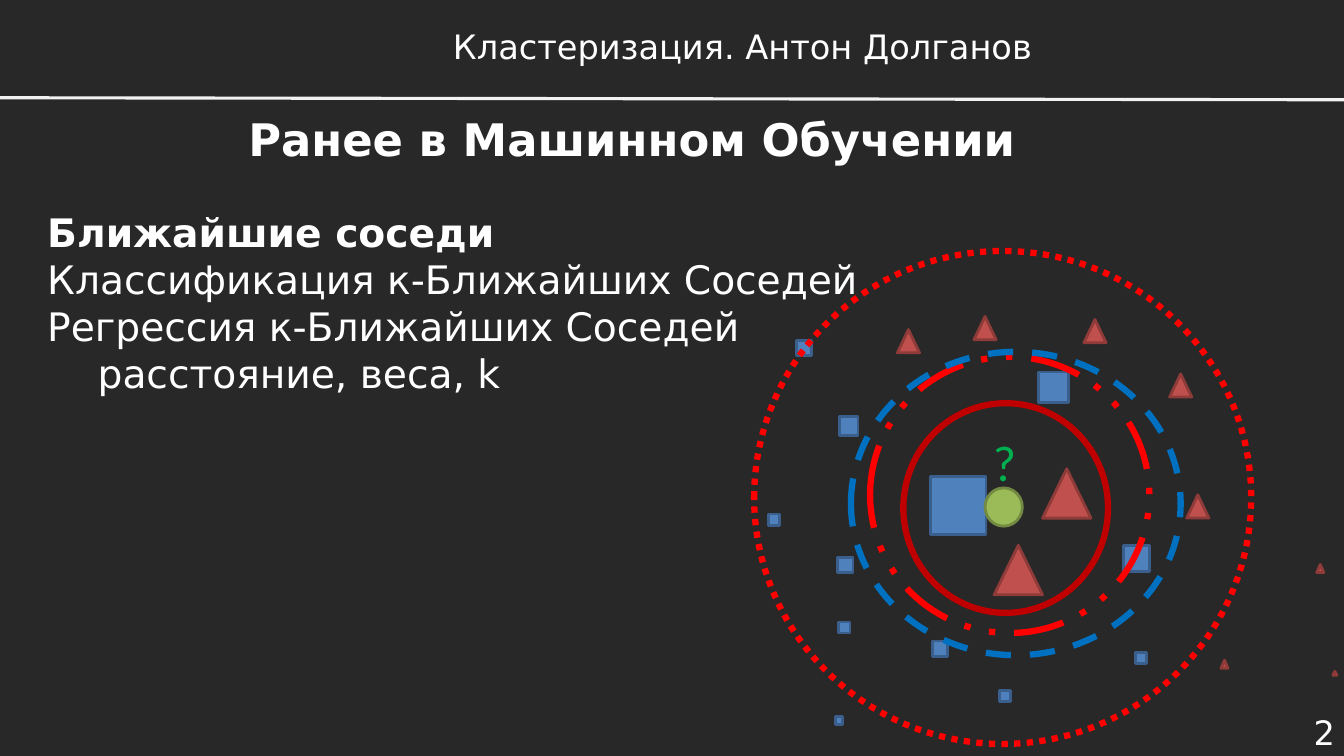
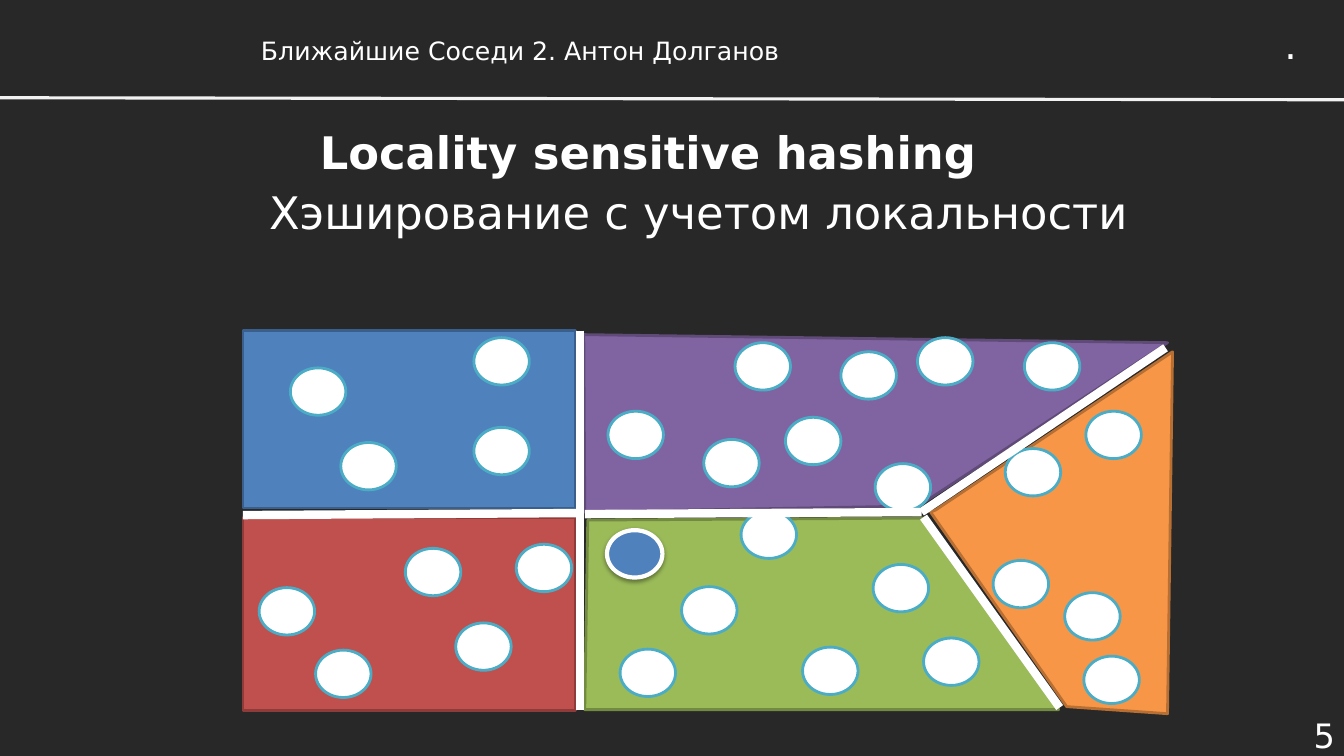
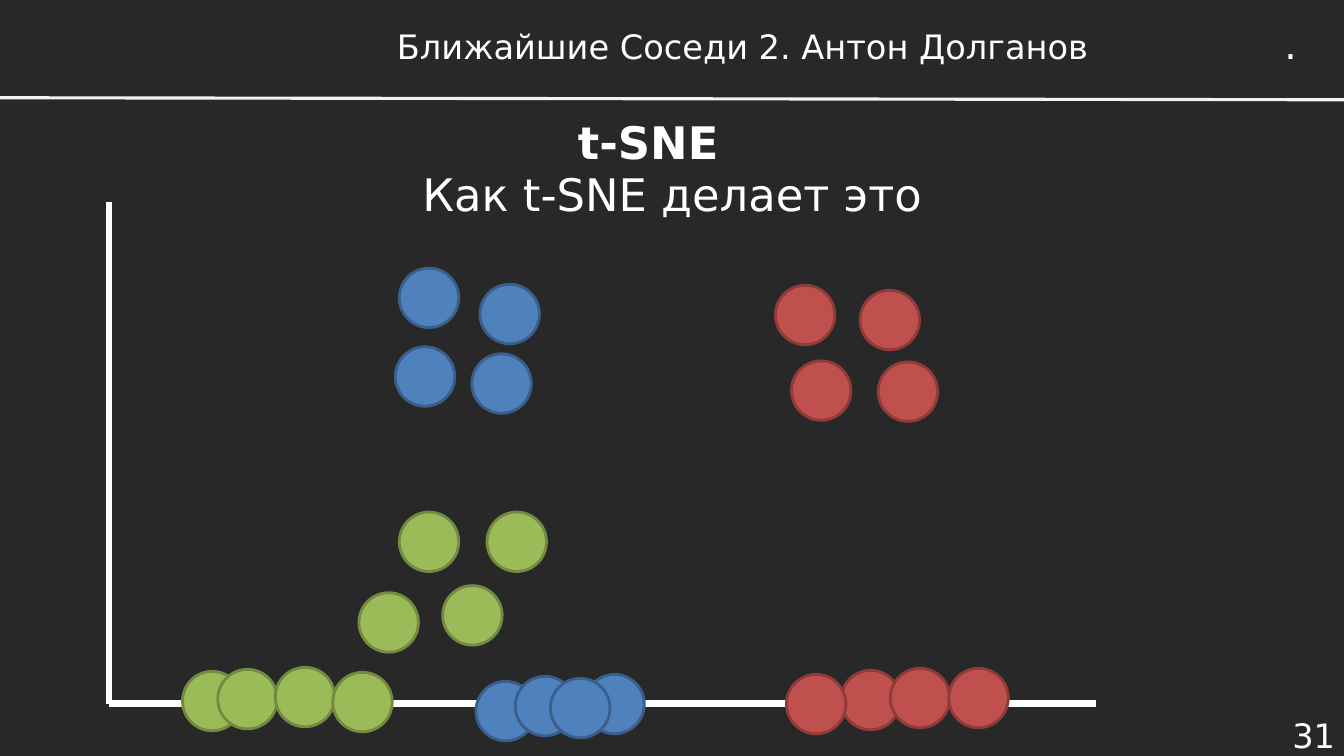
from dataclasses import dataclass
from lxml.etree import SubElement
from pptx import Presentation
from pptx.dml.color import RGBColor
from pptx.enum.dml import MSO_LINE
from pptx.enum.shapes import MSO_CONNECTOR, MSO_SHAPE
from pptx.enum.text import MSO_ANCHOR, MSO_AUTO_SIZE, PP_ALIGN
from pptx.oxml.ns import qn
from pptx.util import Pt

PX = 9144


@dataclass(frozen=True)
class Theme:
    font: str = "DejaVu Sans"
    back: str = "272827"
    white: str = "FFFFFF"
    rule: str = "F2F2F2"
    blue: tuple = ("4F81BD", "3A5F8C")
    red: tuple = ("C0504D", "8E3B39")
    green: tuple = ("9BBB59", "738A42")
    violet: tuple = ("8064A2", "5F4A78")
    orange: tuple = ("F79646", "B76F34")
    pale: tuple = ("FFFFFF", "4BACC6")
    mark: tuple = ("4F81BD", "FFFFFF")
    query: str = "00B050"
    small: int = 18
    head: int = 24
    body: int = 28
    title: int = 32
    sign: int = 36


T = Theme()
RECT, OVAL, PEAK = MSO_SHAPE.RECTANGLE, MSO_SHAPE.OVAL, MSO_SHAPE.ISOSCELES_TRIANGLE

BAR = (344, 19, 785, 53)
DOT = (1264, 15, 34, 57)
COURSE = "Ближайшие Соседи 2. Антон Долганов"

NEAR = [
    ("Ближайшие соседи", True),
    ("Классификация к-Ближайших Соседей", False),
    ("Регрессия к-Ближайших Соседей", False),
    ("\tрасстояние, веса, k", False),
]
SQUARES = [
    (923, 473, 55, 57), (1030, 369, 30, 30), (1114, 541, 26, 26),
    (790, 338, 15, 15), (832, 617, 11, 11), (991, 685, 11, 11),
    (1126, 647, 11, 11), (829, 711, 7, 8), (925, 636, 15, 15),
    (831, 553, 15, 15), (762, 510, 11, 11), (833, 413, 18, 19),
]
PEAKS = [
    (966, 314, 22, 23), (1034, 465, 48, 49), (890, 327, 22, 23),
    (1075, 317, 22, 23), (1177, 491, 22, 23), (1306, 560, 7, 8),
    (1211, 655, 7, 8), (986, 541, 48, 49), (1322, 666, 4, 4),
    (1160, 371, 22, 23),
]
RINGS = [
    ((896, 400, 203, 208), "C00000", MSO_LINE.SOLID),
    ((863, 354, 277, 274), "FF0000", MSO_LINE.DASH_DOT_DOT),
    ((844, 349, 327, 301), "0070C0", MSO_LINE.DASH),
    ((748, 249, 493, 489), "FF0000", MSO_LINE.ROUND_DOT),
]

ZONES = [
    (T.orange, [(923, 508), (928, 506), (1163, 349), (1158, 708), (1058, 701)]),
    (T.violet, [(579, 332), (580, 508), (911, 502), (1158, 340)]),
    (T.green, [(583, 516), (580, 704), (1050, 704), (917, 514)]),
]
ROOMS = [(T.red, (241, 513, 330, 192)), (T.blue, (241, 328, 330, 176))]
SPOT = (55, 47)
SPOTS = [
    (288, 365), (470, 335), (402, 544), (257, 583), (512, 540), (603, 408),
    (615, 644), (729, 340), (866, 560), (834, 349), (868, 460), (1016, 340),
    (1056, 588), (910, 335), (338, 439), (470, 424), (452, 618), (313, 645),
    (676, 582), (796, 642), (779, 414), (916, 633), (997, 445), (985, 556),
    (1077, 408), (1075, 651), (735, 507), (698, 436),
]
CHOSEN = (602, 526)
WALLS = [
    (241, 511, 575, 509), (575, 328, 575, 704), (580, 510, 914, 508),
    (914, 508, 1156, 345), (916, 513, 1051, 702),
]

BALL = (59, 59)
CLOUDS = [
    (T.blue, [(396, 266), (476, 282), (468, 351), (392, 344)]),
    (T.red, [(769, 283), (853, 288), (871, 359), (785, 358)]),
    (T.green, [(396, 508), (483, 508), (356, 588), (439, 581)]),
]
AXES = [(108, 200, 108, 698), (1087, 698, 108, 698)]
ROWS = [
    (T.green, [(181, 666), (216, 664), (273, 662), (330, 667)]),
    (T.red, [(834, 665), (780, 669), (883, 663), (941, 663)]),
    (T.blue, [(472, 676), (511, 671), (580, 669), (546, 673)]),
]


def hue(code):
    return RGBColor.from_string(code)


def scale(nums):
    return [n * PX for n in nums]


def write(page, box, lines, size, side=PP_ALIGN.LEFT, mid=False, wrap=True,
          tint=T.white, font=T.font):
    frame = page.shapes.add_textbox(*scale(box)).text_frame
    frame.word_wrap = wrap
    frame.auto_size = MSO_AUTO_SIZE.NONE if mid else MSO_AUTO_SIZE.SHAPE_TO_FIT_TEXT
    frame.vertical_anchor = MSO_ANCHOR.MIDDLE if mid else MSO_ANCHOR.TOP
    for i, (words, bold) in enumerate(lines):
        para = frame.add_paragraph() if i else frame.paragraphs[0]
        para.alignment = side
        run = para.add_run()
        run.text = words
        run.font.name, run.font.size, run.font.bold = font, Pt(size), bold
        run.font.color.rgb = hue(tint)


def center(page, box, words, size, bold=False):
    write(page, box, [(words, bold)], size, PP_ALIGN.CENTER, True)


def paint(shape, pair, width=2):
    shape.shadow.inherit = False
    fill, edge = pair
    if fill:
        shape.fill.solid()
        shape.fill.fore_color.rgb = hue(fill)
    else:
        shape.fill.background()
    shape.line.color.rgb = hue(edge)
    shape.line.width = Pt(width)
    return shape


def put(page, kind, box, pair, width=2):
    return paint(page.shapes.add_shape(kind, *scale(box)), pair, width)


def spread(page, size, pair, spots):
    for spot in spots:
        put(page, OVAL, spot + size, pair)


def draw(page, ends, tint, width):
    line = page.shapes.add_connector(MSO_CONNECTOR.STRAIGHT, *scale(ends))
    line.line.color.rgb = hue(tint)
    line.line.width = Pt(width)
    SubElement(line._element.spPr, qn("a:effectLst"))


def shade(shape):
    list_ = shape._element.spPr.find(qn("a:effectLst"))
    drop = SubElement(list_, qn("a:outerShdw"), blurRad="40000", dist="20000",
                      dir="5400000", rotWithShape="0")
    tone = SubElement(drop, qn("a:srgbClr"), val="000000")
    SubElement(tone, qn("a:alpha"), val="38000")


def start(deck, num, top=708):
    page = deck.slides.add_slide(deck.slide_layouts[6])
    draw(page, (0, 97, 1333, 99), T.rule, 2.25)
    write(page, (1229, top, 105, 42), [(num, False)], T.head, PP_ALIGN.RIGHT, True)
    return page


def dot(page):
    write(page, DOT, [(".", False)], T.body, wrap=False)


def near(deck):
    page = start(deck, "2", 705)
    center(page, BAR, "Кластеризация. Антон Долганов", T.head)
    center(page, (194, 92, 866, 91), "Ранее в Машинном Обучении", T.title, True)
    write(page, (37, 202, 1351, 246), NEAR, T.body)
    for kind, pair, boxes in ((RECT, T.blue, SQUARES), (PEAK, T.red, PEAKS)):
        for box in boxes:
            put(page, kind, box, pair)
    put(page, OVAL, (977, 484, 37, 38), T.green)
    write(page, (975, 423, 41, 68), [("?", False)], T.sign, wrap=False,
          tint=T.query, font="Calibri")
    for box, tint, dash in RINGS:
        put(page, OVAL, box, (None, tint), 4.5).line.dash_style = dash


def hashing(deck):
    page = start(deck, "5")
    for pair, (first, *rest) in ZONES:
        form = page.shapes.build_freeform(*first, scale=PX)
        form.add_line_segments(rest, close=True)
        paint(form.convert_to_shape(), pair)
    for pair, box in ROOMS:
        put(page, RECT, box, pair)
    dot(page)
    write(page, (249, 30, 827, 40), [(COURSE, False)], T.small)
    center(page, (210, 105, 866, 91), "Locality sensitive hashing", T.title, True)
    write(page, (257, 178, 886, 64), [("Хэширование с учетом локальности", False)], T.title)
    spread(page, SPOT, T.pale, SPOTS)
    shade(put(page, OVAL, CHOSEN + SPOT, T.mark, 3))
    for ends in WALLS:
        draw(page, ends, T.white, 6)


def tsne(deck):
    page = start(deck, "31")
    center(page, BAR, COURSE, T.head)
    dot(page)
    center(page, (210, 95, 866, 91), "t-SNE", T.title, True)
    center(page, (289, 147, 756, 91), "Как t-SNE делает это", T.title)
    for pair, spots in CLOUDS:
        spread(page, BALL, pair, spots)
    for ends in AXES:
        draw(page, ends, T.white, 4.5)
    for pair, spots in ROWS:
        spread(page, BALL, pair, spots)


def main():
    deck = Presentation()
    deck.slide_width, deck.slide_height = scale((1333, 750))
    back = deck.slide_master.background.fill
    back.solid()
    back.fore_color.rgb = hue(T.back)
    for build in (near, hashing, tsne):
        build(deck)
    deck.save("out.pptx")


if __name__ == "__main__":
    main()
